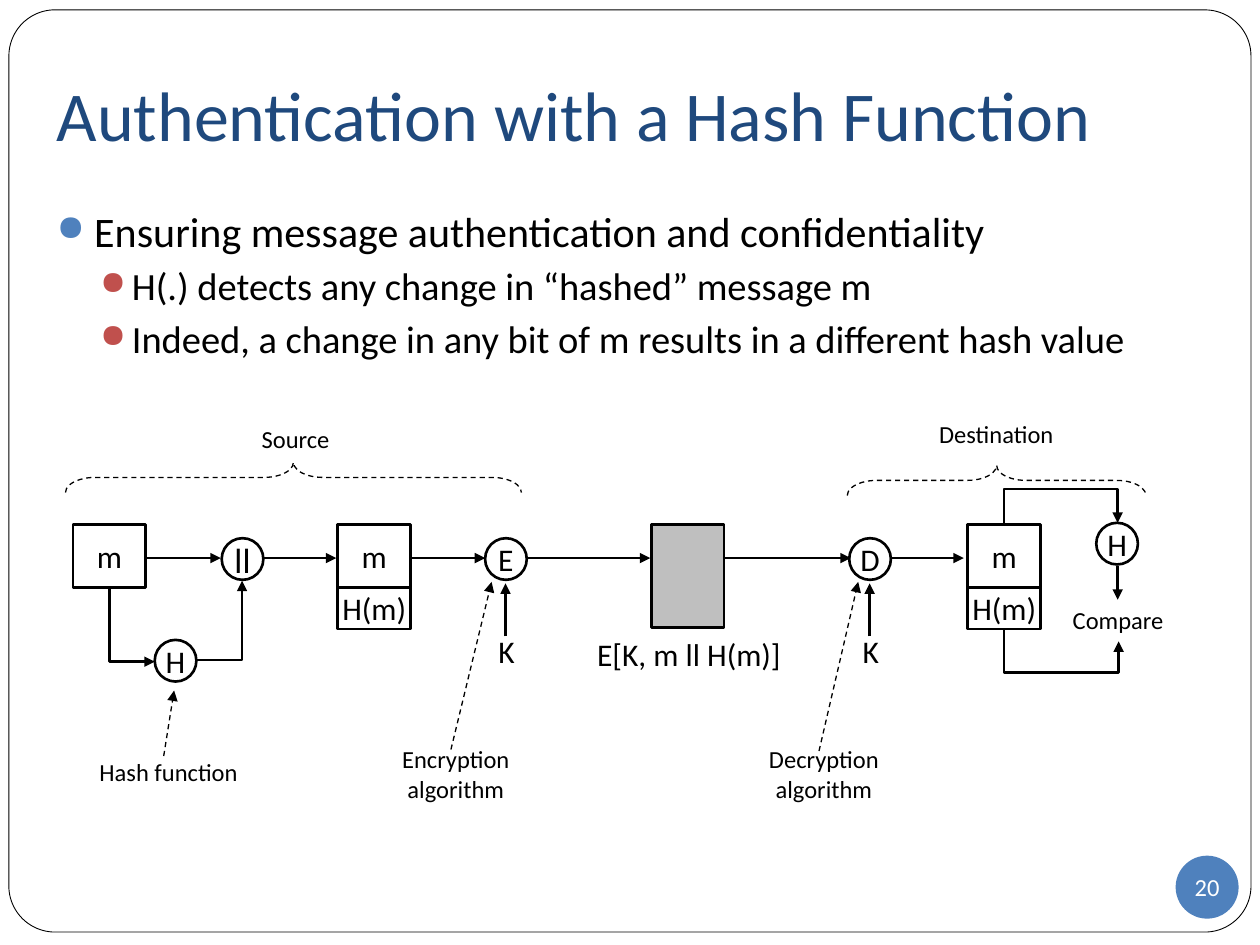
import lxml.etree
import pptx
import pptx.dml.color
import pptx.enum.dml
import pptx.enum.shapes
import pptx.enum.text
import pptx.oxml.ns
import pptx.util

Cm, Pt = pptx.util.Cm, pptx.util.Pt
qn = pptx.oxml.ns.qn
SHAPE = pptx.enum.shapes.MSO_SHAPE
CONNECTOR = pptx.enum.shapes.MSO_CONNECTOR
ALIGN = pptx.enum.text.PP_ALIGN
MIDDLE = pptx.enum.text.MSO_ANCHOR.MIDDLE

THEME = {
    "font": "Calibri", "ink": "000000", "paper": "FFFFFF", "title": "1F497D",
    "blue": "4F81BD", "red": "C0504D", "grey": "BFBFBF",
    "title_size": 40, "bullet_sizes": (24, 22), "symbol": 18, "caption": 14,
    "thick": 1.5, "thin": 0.75, "frame": 0.5,
}

# All lengths are in centimetres.
TITLE = "Authentication with a Hash Function"
BULLETS = [
    (0, "Ensuring message authentication and confidentiality"),
    (1, "H(.) detects any change in “hashed” message m"),
    (1, "Indeed, a change in any bit of m results in a different hash value"),
]
BULLET_STYLES = [  # left margin, hanging indent, colour, space before
    (0.76, 0.76, "blue", 0),
    (1.52, 0.64, "red", 3.7),
]

BLOCK_WIDTH, BLOCK_TOP = 1.47, 10.57
MESSAGE_HEIGHT, HASH_HEIGHT, CIPHER_HEIGHT = 1.27, 0.84, 2.08
MESSAGE_LEFTS = [1.47, 6.81, 19.51]
HASHED_LEFTS = MESSAGE_LEFTS[1:]
CIPHER_LEFT = 13.13

CIRCLE = 0.84
OPERATORS = [  # text, left, top, size
    ("ll", 4.47, 10.85, 20), ("E", 9.78, 10.85, 18), ("D", 17.12, 10.85, 18),
    ("H", 3.12, 12.9, 18), ("H", 22.1, 10.54, 18),
]

LABELS = [  # text, left, top, width, height, size name
    ("K", 9.63, 12.62, 1.17, 1.02, "symbol"),
    ("K", 16.97, 12.62, 1.17, 1.02, "symbol"),
    ("E[K, m ll H(m)]", 11.68, 12.67, 4.42, 1.02, "symbol"),
    ("Compare", 21.23, 12.07, 2.62, 0.86, "caption"),
    ("Source", 3.89, 8.43, 4.14, 0.86, "caption"),
    ("Destination", 18.03, 8.33, 4.11, 0.86, "caption"),
    ("Hash function", 1.7, 15.14, 3.4, 0.86, "caption"),
    ("Encryption algorithm", 7.49, 14.88, 3.4, 1.45, "caption"),
    ("Decryption algorithm", 14.91, 14.88, 3.4, 1.45, "caption"),
]

FLOW_Y = 11.25
FLOW_SPANS = [(2.97, 4.45), (5.28, 6.78), (8.28, 9.78),
              (10.62, 13.11), (14.61, 17.15), (17.96, 19.43)]
VERTICAL_ARROWS = [(10.19, 12.83, 11.76), (17.53, 12.83, 11.76), (22.53, 11.4, 12.09)]
POINTERS = [((3.3, 15.24), (3.51, 13.92)), ((9.09, 15.11), (9.91, 11.73)),
            ((16.51, 15.14), (17.3, 11.73))]
VERTICAL_ELBOWS = [  # start, end, height of the level run (None: one corner)
    ((2.21, 11.84), (3.12, 13.34), None),
    ((20.24, 10.57), (22.53, 10.54), 9.86),
    ((20.24, 12.67), (22.55, 12.93), 13.56),
]
HASH_TO_JOIN = ((3.96, 13.31), (4.88, 11.71))
BRACE_DEPTH, BRACE_CURVE = 0.61, 0.97
BRACES = [(1.32, 9.32, 9.19), (17.08, 9.38, 6.02)]  # left, top, length


def color(name):
    return pptx.dml.color.RGBColor.from_string(THEME[name])


def write(para, text, size, ink="ink"):
    span = para.add_run()
    span.text = text
    span.font.name = THEME["font"]
    span.font.size = Pt(size)
    span.font.color.rgb = color(ink)


def add_shape(page, kind, left, top, width, height, fill=None, line="thick"):
    shape = page.shapes.add_shape(kind, Cm(left), Cm(top), Cm(width), Cm(height))
    shape.shadow.inherit = False
    if fill:
        shape.fill.solid()
        shape.fill.fore_color.rgb = color(fill)
    else:
        shape.fill.background()
    if line:
        shape.line.color.rgb = color("ink")
        shape.line.width = Pt(THEME[line])
    else:
        shape.line.fill.background()
    return shape


def center_text(shape, text, size, ink="ink"):
    frame = shape.text_frame
    frame.margin_left = frame.margin_right = frame.margin_top = frame.margin_bottom = 0
    frame.vertical_anchor = MIDDLE
    frame.word_wrap = False
    frame.paragraphs[0].alignment = ALIGN.CENTER
    write(frame.paragraphs[0], text, size, ink)


def add_arrow(page, start, end, kind=CONNECTOR.STRAIGHT, line="thick", dashed=False):
    arrow = page.shapes.add_connector(kind, *(Cm(value) for value in (*start, *end)))
    arrow.line.color.rgb = color("ink")
    arrow.line.width = Pt(THEME[line])
    if dashed:
        arrow.line.dash_style = pptx.enum.dml.MSO_LINE.DASH
    properties = arrow.element.spPr
    lxml.etree.SubElement(properties.find(qn("a:ln")), qn("a:tailEnd"), type="triangle")
    lxml.etree.SubElement(properties, qn("a:effectLst"))
    return arrow


def one_corner(arrow):
    arrow.element.spPr.find(qn("a:prstGeom")).set("prst", "bentConnector2")


def add_vertical_elbow(page, start, end, level):
    """Elbow that leaves vertically: its frame is laid on its side, then turned."""
    (x1, y1), (x2, y2) = start, end
    middle_x, middle_y = (x1 + x2) / 2, (y1 + y2) / 2
    half_x, half_y = (x2 - x1) / 2, (y2 - y1) / 2
    arrow = add_arrow(page, (middle_x + half_y, middle_y - half_x),
                      (middle_x - half_y, middle_y + half_x), CONNECTOR.ELBOW)
    arrow.rotation = 270
    if level is None:
        one_corner(arrow)
    else:
        ratio = round((level - y1) / (y2 - y1) * 100000)
        guides = arrow.element.spPr.find(qn("a:prstGeom")).find(qn("a:avLst"))
        lxml.etree.SubElement(guides, qn("a:gd"), name="adj1", fmla=f"val {ratio}")


def add_bullets(page):
    box = page.shapes.add_textbox(Cm(0.89), Cm(4.01), Cm(23.8), Cm(14.3))
    frame = box.text_frame
    frame.word_wrap = True
    for index, (level, text) in enumerate(BULLETS):
        para = frame.add_paragraph() if index else frame.paragraphs[0]
        margin, hanging, bullet, before = BULLET_STYLES[level]
        settings = para._p.get_or_add_pPr()
        settings.set("marL", str(Cm(margin)))
        settings.set("indent", str(-Cm(hanging)))
        tint = lxml.etree.SubElement(settings, qn("a:buClr"))
        lxml.etree.SubElement(tint, qn("a:srgbClr"), val=THEME[bullet])
        lxml.etree.SubElement(settings, qn("a:buSzPct"), val="85000")
        lxml.etree.SubElement(settings, qn("a:buChar"), char="●")
        para.level = level
        para.space_before = Pt(before)
        write(para, text, THEME["bullet_sizes"][level])


def add_diagram(page):
    symbol = THEME["symbol"]
    for left in MESSAGE_LEFTS:
        block = add_shape(page, SHAPE.RECTANGLE, left, BLOCK_TOP, BLOCK_WIDTH, MESSAGE_HEIGHT)
        center_text(block, "m", symbol)
    for left in HASHED_LEFTS:
        block = add_shape(page, SHAPE.RECTANGLE, left, BLOCK_TOP + MESSAGE_HEIGHT,
                          BLOCK_WIDTH, HASH_HEIGHT)
        center_text(block, "H(m)", symbol)
    add_shape(page, SHAPE.RECTANGLE, CIPHER_LEFT, BLOCK_TOP, BLOCK_WIDTH, CIPHER_HEIGHT, "grey")
    for text, left, top, size in OPERATORS:
        center_text(add_shape(page, SHAPE.OVAL, left, top, CIRCLE, CIRCLE), text, size)

    for start, end in FLOW_SPANS:
        add_arrow(page, (start, FLOW_Y), (end, FLOW_Y))
    for x, start, end in VERTICAL_ARROWS:
        add_arrow(page, (x, start), (x, end))
    for start, end in POINTERS:
        add_arrow(page, start, end, line="thin", dashed=True)
    for start, end, level in VERTICAL_ELBOWS:
        add_vertical_elbow(page, start, end, level)
    one_corner(add_arrow(page, *HASH_TO_JOIN, CONNECTOR.ELBOW))

    for left, top, length in BRACES:
        brace = add_shape(page, SHAPE.LEFT_BRACE, left + (length - BRACE_DEPTH) / 2,
                          top - (length - BRACE_DEPTH) / 2, BRACE_DEPTH, length, line="thin")
        brace.rotation = 90
        brace.adjustments[0] = BRACE_CURVE
        brace.line.dash_style = pptx.enum.dml.MSO_LINE.DASH
    for text, left, top, width, height, size in LABELS:
        box = page.shapes.add_textbox(Cm(left), Cm(top), Cm(width), Cm(height))
        box.text_frame.word_wrap = True
        para = box.text_frame.paragraphs[0]
        para.alignment = ALIGN.CENTER
        write(para, text, THEME[size])


def main():
    deck = pptx.Presentation()
    deck.slide_width, deck.slide_height = Cm(25.4), Cm(19.05)
    page = deck.slides.add_slide(deck.slide_layouts[5])

    border = add_shape(page, SHAPE.ROUNDED_RECTANGLE, 0.18, 0.2, 25.04, 18.59, "paper", "frame")
    border.adjustments[0] = 0.05
    title = page.shapes.title
    title.element.addprevious(border.element)
    title.left, title.top, title.width, title.height = Cm(0.89), Cm(0.76), Cm(23.8), Cm(3.18)
    title.text_frame.vertical_anchor = MIDDLE
    title.text_frame.margin_bottom = Cm(0.25)
    title.text_frame.paragraphs[0].alignment = ALIGN.LEFT
    write(title.text_frame.paragraphs[0], TITLE, THEME["title_size"], "title")

    add_bullets(page)
    badge = add_shape(page, SHAPE.OVAL, 23.7, 17.25, 1.27, 1.27, "blue", None)
    center_text(badge, "20", THEME["caption"], "paper")
    add_diagram(page)
    deck.save("out.pptx")


if __name__ == "__main__":
    main()
